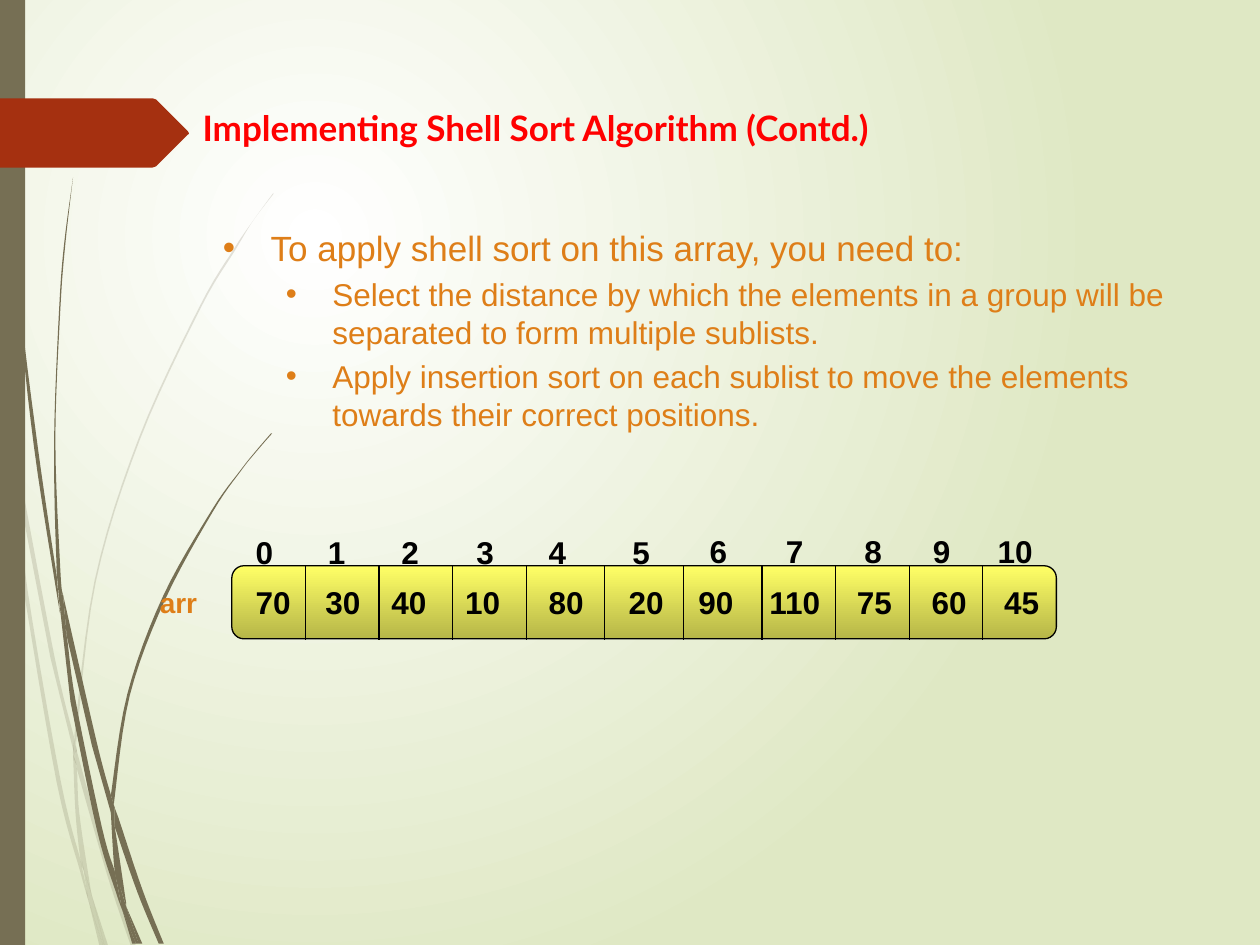
from dataclasses import dataclass
from itertools import accumulate
from typing import Optional

from lxml.etree import SubElement
from pptx import Presentation
from pptx.dml.color import RGBColor
from pptx.enum.shapes import MSO_CONNECTOR, MSO_SHAPE
from pptx.enum.text import MSO_AUTO_SIZE
from pptx.oxml import parse_xml
from pptx.oxml.ns import nsdecls, qn
from pptx.util import Inches, Pt

Point = tuple[float, float]


@dataclass(frozen=True)
class Theme:
    stem: str = "766F54"
    tag: str = "A53010"
    accent: str = "DE7E18"
    title: str = "FF0000"
    ink: str = "000000"
    cell: str = "FFFF66"
    paper: str = "FFFFFF"
    edge: str = "DFE8C4"
    body_font: str = "Arial"
    title_font: str = "Lato"
    large: int = 20
    medium: int = 18
    small: int = 16
    rule: float = 0.75


@dataclass(frozen=True)
class Cell:
    value: str
    value_inset: float
    index_inset: float
    width: float


@dataclass(frozen=True)
class Bullet:
    text: str
    level: int
    size: int
    margin: float
    hanging: float


THEME = Theme()
NARROW, WIDE = 0.584, 0.624
ROW_LEFT, ROW_TOP, ROW_HEIGHT = 1.84, 4.49, 0.58

CELLS = [
    Cell("70", 0.09, 0.09, NARROW), Cell("30", 0.06, 0.08, NARROW),
    Cell("40", 0, 0.08, NARROW), Cell("10", 0, 0.09, NARROW),
    Cell("80", 0.08, 0.08, WIDE), Cell("20", 0.09, 0.12, WIDE),
    Cell("90", 0.02, 0.11, WIDE), Cell("110", -0.04, 0.09, NARROW),
    Cell("75", 0.07, 0.13, NARROW), Cell("60", 0.08, 0.09, NARROW),
    Cell("45", 0.07, 0.02, NARROW),
]

BULLETS = [
    Bullet("To apply shell sort on this array, you need to:", 0, THEME.large, 0.38, 0.38),
    Bullet("Select the distance by which the elements in a group will be "
           "separated to form multiple sublists.", 1, THEME.medium, 0.87, 0.37),
    Bullet("Apply insertion sort on each sublist to move the elements "
           "towards their correct positions.", 1, THEME.medium, 0.87, 0.37),
]

# Each blade of grass is two edges, in inches, divided by a slash
PALE_BLADES = [
    "0.08,3.5 0.06,3.22 0,2.82 / 0,2.99 0.07,3.44 0.08,3.5",
    "0.4,5.22 0.59,5.99 / 0.59,5.86 0.43,5.2 0.1,3.45 / 0.12,3.76 0.4,5.22",
    "0.64,6.07 0.61,5.96 / 0.61,6.1 0.85,6.94 1.04,7.51 / 1.08,7.51 0.88,6.92 0.64,6.07",
    "0.83,7.51 0.86,7.51 / 0.73,7.11 0.83,7.51",
    "0.64,6.83 0.48,6.19 0.22,4.69 0.12,3.76 0.08,3.5 / "
    "0.19,4.7 0.45,6.21 0.64,6.93 0.7,7.14 / 0.69,7.07 0.64,6.83",
    "0.58,5.99 0.6,6.46 0.64,6.83 0.67,6.92 0.73,7.11 / "
    "0.72,7.06 0.63,6.46 0.61,6.1 0.58,5.99",
    "0.61,5.96 0.61,5.84 0.76,4.62 1.11,3.49 1.59,2.45 1.87,1.98 2.01,1.75 2.17,1.54 / "
    "2.17,1.53 2.01,1.75 1.86,1.97 1.58,2.44 1.1,3.48 0.75,4.61 0.59,5.84",
    "0.7,7.14 0.79,7.51 / 0.82,7.51 0.7,7.14",
    "0.61,6.08 0.61,6.1 0.61,5.96 / 0.59,5.86 0.58,5.99 0.61,6.08",
    "0.67,6.92 0.65,6.83 / 0.69,7.07 0.7,7.14 0.82,7.51 / 0.83,7.51 0.73,7.11 0.67,6.92",
]
DARK_BLADES = [
    "0.02,0 0.03,0.48 0.05,1.1 0.14,2.33 0.27,3.55 0.46,4.77 0.47,4.81 / "
    "0.45,4.57 0.3,3.55 0.15,2.32 0.06,1.09 0.04,0.48 0.03,0",
    "0.73,5.92 0.88,6.45 / 0.88,6.31 0.77,5.9 0.5,4.72 / 0.53,5.05 0.73,5.92",
    "0.94,6.49 0.91,6.41 / 0.91,6.56 1.09,7.08 1.26,7.49 / 1.3,7.49 1.13,7.06 0.94,6.49",
    "0.91,6.91 0.81,6.57 0.6,5.56 0.53,5.05 0.47,4.77 / "
    "0.56,5.57 0.77,6.59 0.92,7.08 0.97,7.22 / 0.96,7.17 0.91,6.91",
    "0.5,4.72 0.48,4.53 0.44,3.49 0.48,2.45 0.52,1.93 0.58,1.41 / "
    "0.58,1.41 0.51,1.93 0.47,2.45 0.43,3.49 0.45,4.49 0.49,4.72",
    "1.1,7.49 1.13,7.49 / 1,7.19 1.1,7.49",
    "0.47,4.77 0.53,5.05 / 0.5,4.72 0.49,4.72 / 0.45,4.49 0.45,4.53 0.47,4.77",
    "0.91,6.41 0.91,6.33 1.03,5.52 1.31,4.76 1.69,4.06 1.91,3.74 2.03,3.59 2.16,3.44 / "
    "2.15,3.44 2.03,3.58 1.91,3.73 1.68,4.05 1.29,4.74 1.01,5.51 0.88,6.31",
    "0.97,7.22 1.05,7.49 / 1.08,7.49 0.97,7.22",
    "0.88,6.45 0.91,6.91 0.96,7.06 1,7.19 / 1,7.16 0.91,6.56 0.88,6.45",
    "0.88,6.45 0.91,6.56 / 0.91,6.41 0.88,6.31 / 0.88,6.45",
    "0.96,7.06 0.91,6.91 / 0.96,7.17 0.97,7.22 1.08,7.49 / 1.1,7.49 1,7.19 0.96,7.06",
]
TAG = "1.49,1.07 / 1.24,1.32 1.21,1.33 / 0,1.33 / 0,0.78 / 1.21,0.78 1.24,0.79 / 1.49,1.04 1.5,1.06 1.49,1.07"


def smooth(points: list[Point], steps: int = 6) -> list[Point]:
    """Pass a Catmull-Rom curve through the points of one edge."""
    if len(points) < 3:
        return points
    padded = [points[0], *points, points[-1]]
    curve = [points[0]]
    for before, start, end, after in zip(padded, padded[1:], padded[2:], padded[3:]):
        for step in range(1, steps + 1):
            t = step / steps
            curve.append(tuple(
                (2 * b + (c - a) * t + (2 * a - 5 * b + 4 * c - d) * t ** 2
                 + (3 * b - a - 3 * c + d) * t ** 3) / 2
                for a, b, c, d in zip(before, start, end, after)))
    return curve


def paint(shape, color: str, alpha: Optional[int] = None) -> None:
    shape.shadow.inherit = False
    shape.line.fill.background()
    shape.fill.solid()
    shape.fill.fore_color.rgb = RGBColor.from_string(color)
    if alpha is not None:
        tint = shape.element.spPr.find(f"{qn('a:solidFill')}/{qn('a:srgbClr')}")
        SubElement(tint, qn("a:alpha")).set("val", str(alpha * 1000))


def add_outline(page, edges: str, color: str, alpha: Optional[int] = None) -> None:
    points = [point for edge in edges.split("/") for point in
              smooth([tuple(map(float, pair.split(","))) for pair in edge.split()])]
    corners = [(Inches(x), Inches(y)) for x, y in points]
    builder = page.shapes.build_freeform(*corners[0], scale=1.0)
    builder.add_line_segments(corners[1:], close=True)
    paint(builder.convert_to_shape(), color, alpha)


def style(span, size: int, color: str, font: str = THEME.body_font, bold: bool = False) -> None:
    span.font.size, span.font.name, span.font.bold = Pt(size), font, bold
    span.font.color.rgb = RGBColor.from_string(color)


def add_label(page, text: str, left: float, top: float, width: float, height: float = 0.4, *,
              size: int = THEME.medium, color: str = THEME.ink,
              font: str = THEME.body_font, wrap: bool = False) -> None:
    box = page.shapes.add_textbox(*map(Inches, (left, top, width, height)))
    box.text_frame.word_wrap = wrap
    box.text_frame.auto_size = MSO_AUTO_SIZE.SHAPE_TO_FIT_TEXT
    span = box.text_frame.paragraphs[0].add_run()
    span.text = text
    style(span, size, color, font, bold=True)


def add_bullets(page, bullets: list[Bullet]) -> None:
    frame = page.shapes.add_textbox(*map(Inches, (1.67, 1.75, 8, 5))).text_frame
    frame.word_wrap = True
    for number, bullet in enumerate(bullets):
        para = frame.add_paragraph() if number else frame.paragraphs[0]
        para.level, para.space_before = bullet.level, Pt(bullet.size * 0.2)
        span = para.add_run()
        span.text = bullet.text
        style(span, bullet.size, THEME.accent)
        settings = para._p.get_or_add_pPr()
        settings.set("marL", str(Inches(bullet.margin)))
        settings.set("indent", str(-Inches(bullet.hanging)))
        SubElement(settings, qn("a:buFont")).set("typeface", THEME.body_font)
        SubElement(settings, qn("a:buChar")).set("char", "•")


def add_array(page, cells: list[Cell]) -> None:
    edges = list(accumulate((cell.width for cell in cells), initial=ROW_LEFT))
    bar = page.shapes.add_shape(MSO_SHAPE.ROUNDED_RECTANGLE, *map(
        Inches, (ROW_LEFT, ROW_TOP, edges[-1] - ROW_LEFT, ROW_HEIGHT)))
    bar.adjustments[0] = 0.167
    bar.shadow.inherit = False
    bar.fill.gradient()
    bar.fill.gradient_angle = 270
    for position, stop in enumerate(bar.fill.gradient_stops):
        stop.position = position
        stop.color.rgb = RGBColor.from_string(THEME.cell)
    dark = bar.element.spPr.findall(f".//{qn('a:srgbClr')}")[1]
    SubElement(dark, qn("a:shade")).set("val", "46275")
    dividers = [page.shapes.add_connector(MSO_CONNECTOR.STRAIGHT, *map(
        Inches, (x, ROW_TOP, x, ROW_TOP + ROW_HEIGHT + 0.01))) for x in edges[1:-1]]
    for divider in dividers:
        SubElement(divider.element.spPr, qn("a:effectLst"))
    for shape in (bar, *dividers):
        shape.line.width = Pt(THEME.rule)
        shape.line.color.rgb = RGBColor.from_string(THEME.ink)
    for index, (cell, left) in enumerate(zip(cells, edges)):
        add_label(page, str(index), left + cell.index_inset, 4.18 if index < 6 else 4.17,
                  0.34 if index < 10 else 0.48)
        add_label(page, cell.value, left + cell.value_inset, 4.58,
                  0.51 if len(cell.value) < 3 else 0.67, wrap=True)


def add_background(page) -> None:
    page.background.fill.gradient()
    old = page.element.find(f".//{qn('a:gradFill')}")
    old.getparent().replace(old, parse_xml(
        f'<a:gradFill {nsdecls("a")} rotWithShape="1"><a:gsLst>'
        f'<a:gs pos="0"><a:srgbClr val="{THEME.paper}"/></a:gs>'
        f'<a:gs pos="100000"><a:srgbClr val="{THEME.edge}"/></a:gs></a:gsLst>'
        '<a:path path="circle"><a:fillToRect l="50000" t="50000" r="100000" b="100000"/>'
        '</a:path></a:gradFill>'))


deck = Presentation()
deck.slide_width, deck.slide_height = Inches(10), Inches(7.5)
page = deck.slides.add_slide(deck.slide_layouts[6])

# Backdrop
add_background(page)
for blade in PALE_BLADES:
    add_outline(page, blade, THEME.stem, alpha=20)
for blade in DARK_BLADES:
    add_outline(page, blade, THEME.stem)
paint(page.shapes.add_shape(MSO_SHAPE.RECTANGLE, 0, 0, Inches(0.2), deck.slide_height), THEME.stem)
add_outline(page, TAG, THEME.tag)

# Text
add_bullets(page, BULLETS)
add_label(page, "Implementing Shell Sort Algorithm (Contd.)", 1.51, 0.8, 7.5, 0.43,
          size=THEME.large, color=THEME.title, font=THEME.title_font, wrap=True)

# Array
add_array(page, CELLS)
add_label(page, "arr", 1.17, 4.6, 0.5, 0.37, size=THEME.small, color=THEME.accent)

deck.save("out.pptx")
